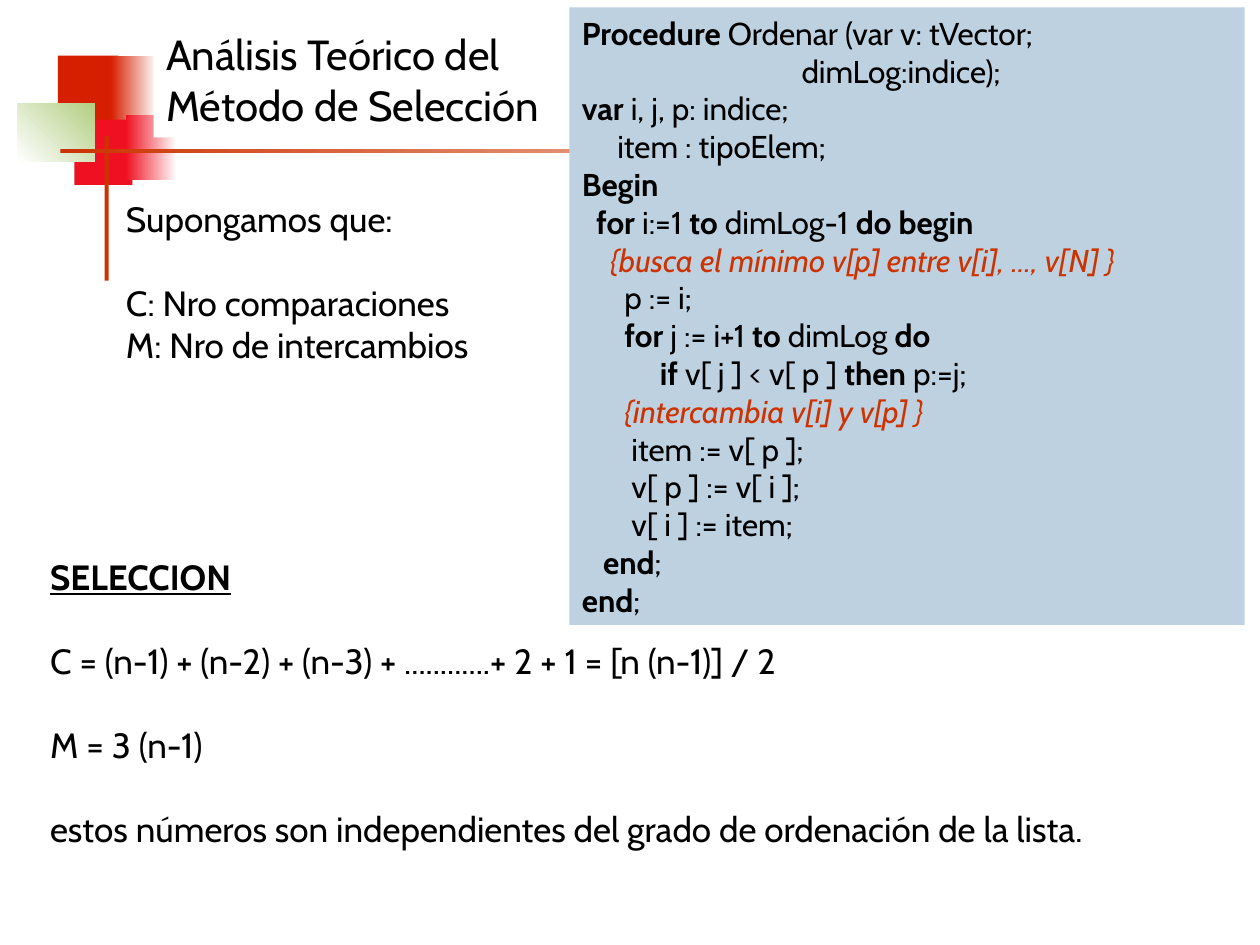
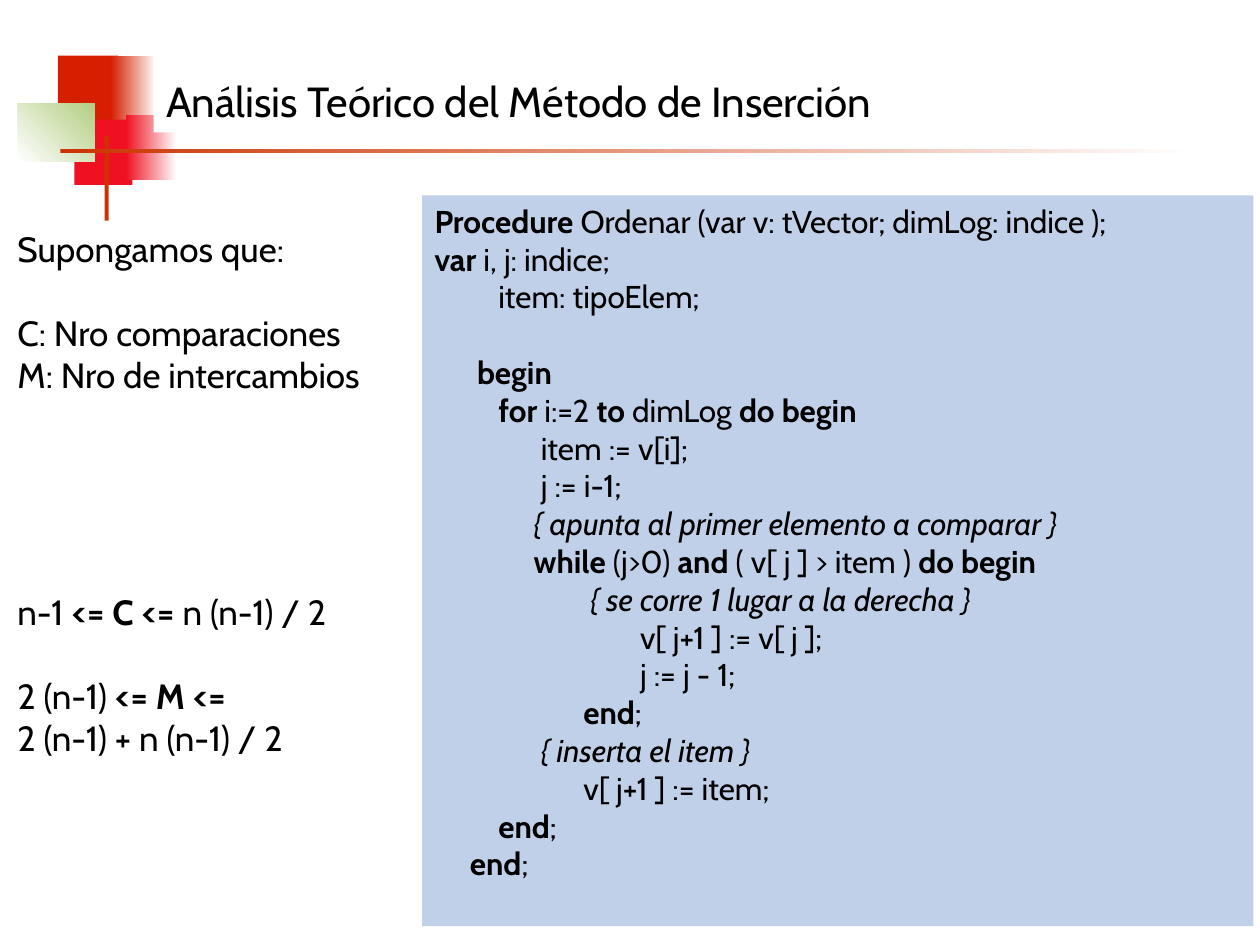
import dataclasses
import typing

import pptx
import pptx.dml.color
import pptx.enum.shapes
import pptx.enum.text
import pptx.slide
import pptx.util

Cm = pptx.util.Cm
Pt = pptx.util.Pt
ANCHOR = pptx.enum.text.MSO_ANCHOR
ALIGN = pptx.enum.text.PP_ALIGN

FONT = "Cabin"
BLACK, WHITE = "000000", "FFFFFF"
SCARLET, CRIMSON, RUST, GREEN = "D61F00", "EF1121", "CC3300", "B3CE82"
COLUMN = Cm(1) / 7
LINE_HEIGHT = 1.2


@dataclasses.dataclass(frozen=True)
class Band:
    """A decorative rectangle, in centimetres; two colours make a gradient."""
    left: float
    top: float
    width: float
    height: float
    colours: tuple[str, ...]
    angle: float = 0


class Line(typing.NamedTuple):
    """A paragraph; asterisks enclose bold, columns indent it, gap is in lines."""
    text: str
    columns: int = 0
    gap: int = 0
    underline: bool = False


@dataclasses.dataclass(frozen=True)
class Style:
    """The look shared by all text blocks of one kind."""
    size: int
    fill: str = WHITE
    anchor: ANCHOR = ANCHOR.TOP
    align: ALIGN = ALIGN.LEFT
    comment: str = BLACK


@dataclasses.dataclass(frozen=True)
class Block:
    """A filled text rectangle, in centimetres."""
    left: float
    top: float
    width: float
    height: float
    style: Style
    lines: tuple[Line, ...]


SIDE = 1.32
EMBLEM = (
    Band(1.17, 1.12, 1.22, SIDE, (SCARLET,)),
    Band(2.24, 1.12, 0.91, SIDE, (SCARLET, WHITE)),
    Band(1.5, 2.41, 1.17, SIDE, (CRIMSON,)),
    Band(2.54, 2.31, 1.02, SIDE, (CRIMSON, WHITE)),
    Band(0.36, 2.08, 1.55, 1.17, (WHITE, GREEN), 45),
    Band(2.11, 2.74, 0.08, 2.92, (RUST,)),
    Band(1.22, 3, 22.86, 0.08, (RUST, WHITE)),
)

BODY = Style(20)
BOUNDS = Style(20, anchor=ANCHOR.BOTTOM)
SELECTION_TITLE = Style(24, anchor=ANCHOR.MIDDLE)
INSERTION_TITLE = Style(24, anchor=ANCHOR.BOTTOM)
SELECTION_CODE = Style(18, "BED1E0", align=ALIGN.JUSTIFY, comment=RUST)
INSERTION_CODE = Style(18, "C1D0E9", align=ALIGN.JUSTIFY)

ASSUMPTIONS = (
    Line("Supongamos que:"),
    Line("C: Nro comparaciones", gap=1),
    Line("M: Nro de intercambios"),
)

SELECTION = (
    Block(3.1, 0.43, 8.61, 2.34, SELECTION_TITLE, (
        Line("Análisis Teórico del Método de Selección"),
    )),
    Block(2.29, 3.86, 8.2, 4.5, BODY, ASSUMPTIONS),
    Block(0.76, 11.07, 23.14, 7.04, BODY, (
        Line("*SELECCION*", underline=True),
        Line("C = (n-1) + (n-2) + (n-3) + ............+ 2 + 1 = [n (n-1)] / 2", gap=1),
        Line("M = 3 (n-1)", gap=1),
        Line("estos números son independientes del grado de ordenación de la lista.", gap=1),
    )),
    Block(11.48, 0.15, 13.61, 12.45, SELECTION_CODE, (
        Line("*Procedure* Ordenar (var v: tVector;"),
        Line("dimLog:indice);", 31),
        Line("*var* i, j, p: indice;"),
        Line("item : tipoElem;", 5),
        Line("*Begin*"),
        Line("*for* i:=1 *to* dimLog-1 *do begin*", 2),
        Line("{busca el mínimo v[p] entre v[i], ..., v[N] }", 4),
        Line("p := i;", 6),
        Line("*for* j := i+1 *to* dimLog *do*", 6),
        Line("*if* v[ j ] < v[ p ] *then* p:=j;", 11),
        Line("{intercambia v[i] y v[p] }", 6),
        Line("item := v[ p ];", 7),
        Line("v[ p ] := v[ i ];", 7),
        Line("v[ i ] := item;", 7),
        Line("*end*;", 3),
        Line("*end*;"),
    )),
)

INSERTION = (
    Block(0.1, 10.92, 8.61, 4.5, BOUNDS, (
        Line("n-1 *<= C <=* n (n-1) / 2"),
        Line("2 (n-1)* <= M <=*", gap=1),
        Line("2 (n-1) + n (n-1) / 2"),
    )),
    Block(8.51, 3.94, 16.76, 14.73, INSERTION_CODE, (
        Line("*Procedure* Ordenar (var v: tVector; dimLog: indice );"),
        Line("*var* i, j: indice;"),
        Line("item: tipoElem;", 9),
        Line("*begin*", 6, gap=1),
        Line("*for* i:=2 *to* dimLog *do begin*", 9),
        Line("item := v[i];", 15),
        Line("j := i-1;", 15),
        Line("{ apunta al primer elemento a comparar }", 14),
        Line("*while* (j>0) *and* ( v[ j ] > item ) *do begin*", 14),
        Line("{ se corre 1 lugar a la derecha }", 22),
        Line("v[ j+1 ] := v[ j ];", 29),
        Line("j := j - 1;", 29),
        Line("*end*;", 21),
        Line("{ inserta el item }", 15),
        Line("v[ j+1 ] := item;", 21),
        Line("*end*;", 9),
        Line("*end*;", 5),
    )),
    Block(3.1, 0.33, 18.59, 2.34, INSERTION_TITLE, (
        Line("Análisis Teórico del Método de Inserción"),
    )),
    Block(0.1, 4.45, 8.2, 4.5, BODY, ASSUMPTIONS),
)


def colour(code: str) -> pptx.dml.color.RGBColor:
    """Turn a hex string into a colour."""
    return pptx.dml.color.RGBColor.from_string(code)


def apply(target: typing.Any, formats: dict[str, typing.Any]) -> None:
    """Set every named attribute on the target."""
    for name, value in formats.items():
        setattr(target, name, value)


def add_box(page: pptx.slide.Slide, area: Band | Block, colours: tuple[str, ...], angle: float = 0):
    """Add a borderless rectangle with a solid or gradient fill."""
    box = page.shapes.add_shape(
        pptx.enum.shapes.MSO_SHAPE.RECTANGLE,
        Cm(area.left), Cm(area.top), Cm(area.width), Cm(area.height))
    box.shadow.inherit = False
    box.line.fill.background()
    if len(colours) == 1:
        box.fill.solid()
        box.fill.fore_color.rgb = colour(colours[0])
    else:
        box.fill.gradient()
        box.fill.gradient_angle = angle
        for stop, code in zip(box.fill.gradient_stops, colours):
            stop.color.rgb = colour(code)
    return box


def write_line(para: typing.Any, line: Line, style: Style) -> None:
    """Write one line; text that opens with a brace is a code comment."""
    apply(para, {"alignment": style.align,
                 "space_before": Pt(line.gap * style.size * LINE_HEIGHT)})
    if line.columns:
        para._p.get_or_add_pPr().set("marL", str(round(line.columns * COLUMN)))
    is_comment = line.text.startswith("{")
    for index, piece in enumerate(line.text.split("*")):
        if not piece:
            continue
        span = para.add_run()
        span.text = piece
        apply(span.font, {"name": FONT, "size": Pt(style.size), "bold": index % 2 == 1,
                          "italic": is_comment, "underline": line.underline})
        span.font.color.rgb = colour(style.comment if is_comment else BLACK)


def add_block(page: pptx.slide.Slide, block: Block) -> None:
    """Add a text block with all its lines."""
    frame = add_box(page, block, (block.style.fill,)).text_frame
    apply(frame, {"word_wrap": True, "vertical_anchor": block.style.anchor,
                  "margin_left": Cm(0.25), "margin_right": Cm(0.25),
                  "margin_top": Cm(0.13), "margin_bottom": Cm(0.13)})
    for index, line in enumerate(block.lines):
        para = frame.add_paragraph() if index else frame.paragraphs[0]
        write_line(para, line, block.style)


def main() -> None:
    """Build and save the deck."""
    deck = pptx.Presentation()
    apply(deck, {"slide_width": Cm(25.4), "slide_height": Cm(19.05)})
    for blocks in (SELECTION, INSERTION):
        page = deck.slides.add_slide(deck.slide_layouts[6])
        for band in EMBLEM:
            add_box(page, band, band.colours, band.angle)
        for block in blocks:
            add_block(page, block)
    deck.save("out.pptx")


if __name__ == "__main__":
    main()
